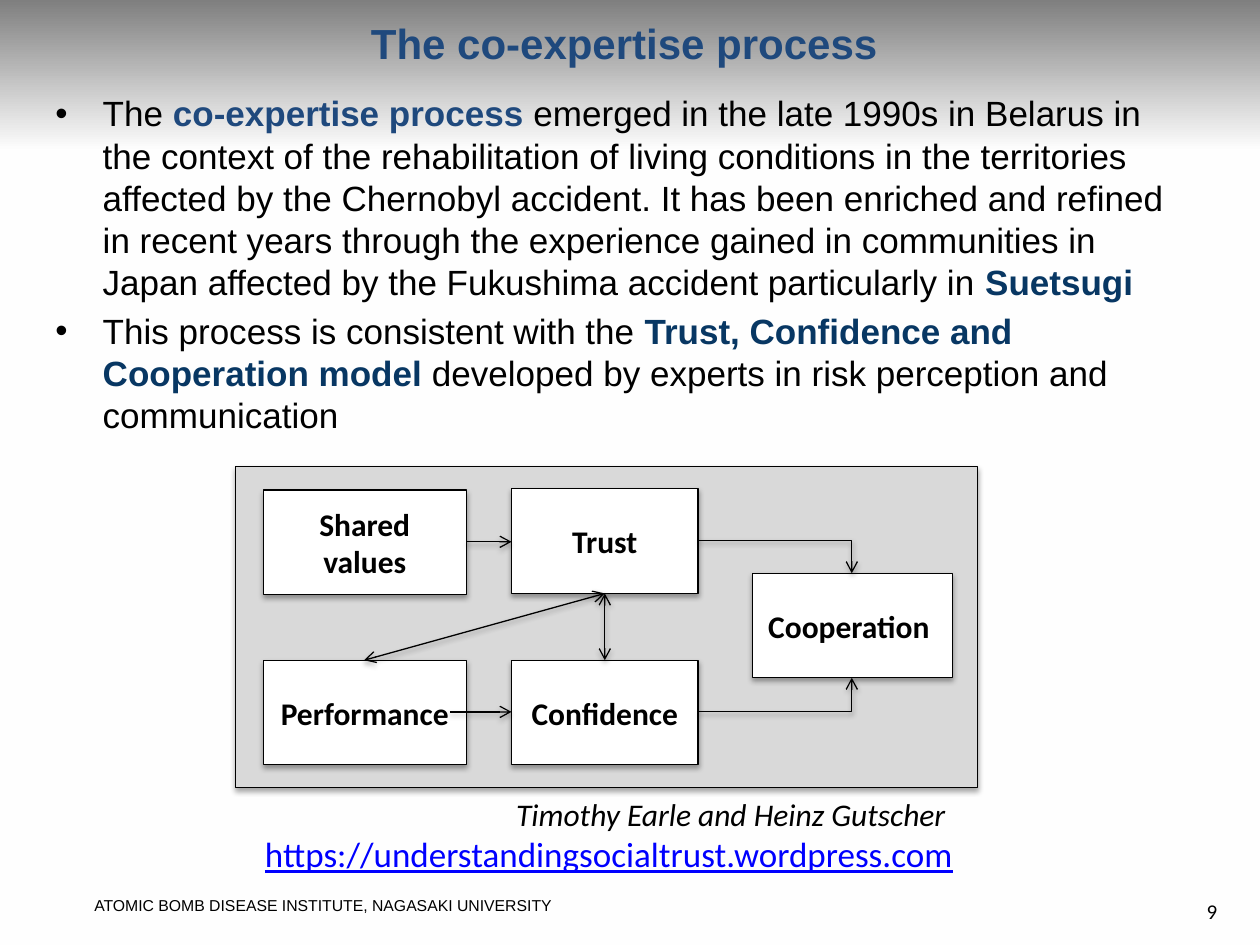
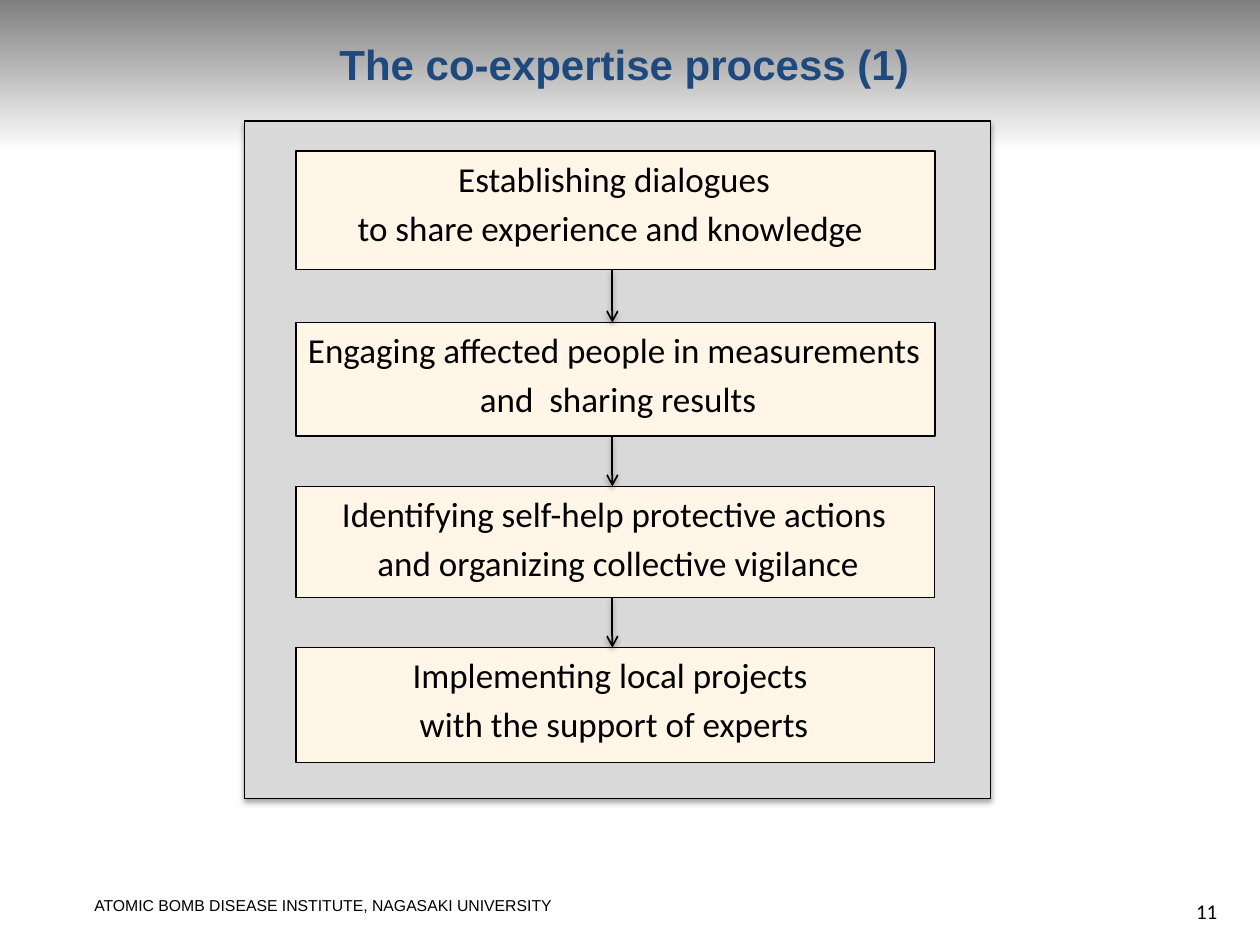
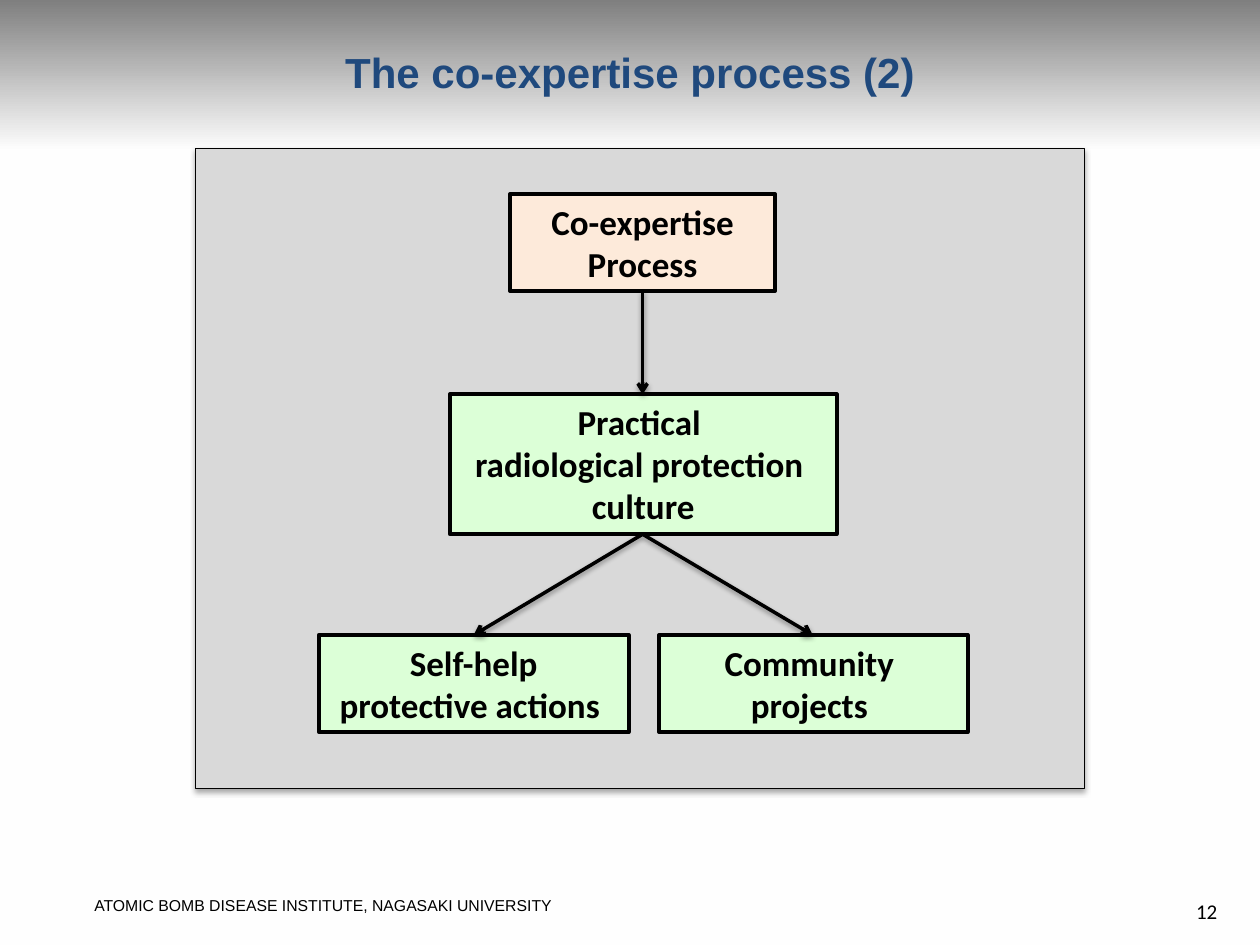
import copy
import itertools
from dataclasses import dataclass
from typing import Any

import pptx
import pptx.dml.color
import pptx.enum.shapes
import pptx.enum.text
import pptx.oxml
import pptx.oxml.ns
import pptx.util
from lxml import etree

PX = 9144  # one px is a hundredth of an inch
Pt = pptx.util.Pt
qn = pptx.oxml.ns.qn
Align = pptx.enum.text.PP_ALIGN
Anchor = pptx.enum.text.MSO_ANCHOR
Link = pptx.enum.shapes.MSO_CONNECTOR

BLACK, WHITE, GREY = "000000", "FFFFFF", "D9D9D9"
BLUE, NAVY, LINK = "1F497D", "083763", "0000FF"
CREAM, PEACH, GREEN = "FFF6E7", "FDEADA", "DCFFD7"
FADE = ((0, "7F7F7F"), (0.16, "FEFEFE"), (0.99, WHITE))
FOOTER = "ATOMIC BOMB DISEASE INSTITUTE, NAGASAKI UNIVERSITY"

TITLE = {"name": "Arial", "size": Pt(24), "bold": True}
BODY = {"name": "Arial", "size": Pt(20), "bold": False}
STRONG = {**BODY, "bold": True}
FOOT = {"name": "Arial", "size": Pt(9)}
PAGE = {"name": "Calibri", "size": Pt(12)}
NODE = {"name": "Calibri", "size": Pt(18), "bold": True}
STEP = {"name": "Calibri", "size": Pt(20)}
TREE = {**STEP, "bold": True}
CREDIT = {"name": "Calibri", "size": Pt(18), "italic": True}
SITE = {**STEP, "underline": True}

Spot = tuple[int, int]


@dataclass(frozen=True)
class Box:
    x: int
    y: int
    w: int
    h: int
    lines: tuple[str, ...] = ()
    fill: str = WHITE
    edge: float = 0.75

    @property
    def area(self) -> tuple[int, ...]:
        return tuple(n * PX for n in (self.x, self.y, self.w, self.h))

    @property
    def top(self) -> Spot:
        return self.x + self.w // 2, self.y

    @property
    def base(self) -> Spot:
        return self.x + self.w // 2, self.y + self.h

    @property
    def left(self) -> Spot:
        return self.x, self.y + self.h // 2

    @property
    def right(self) -> Spot:
        return self.x + self.w, self.y + self.h // 2


def tint(code: str) -> pptx.dml.color.RGBColor:
    return pptx.dml.color.RGBColor.from_string(code)


def apply(item: Any, look: dict[str, Any]) -> None:
    for key, value in look.items():
        setattr(item, key, value)


def write(para: Any, text: str, look: dict[str, Any], ink: str = BLACK) -> None:
    run = para.add_run()
    run.text = text
    apply(run.font, look)
    run.font.color.rgb = tint(ink)


def fill_text(frame: Any, lines: tuple[str, ...], look: dict[str, Any],
              align: Any, gap: int = 0) -> None:
    """Write one paragraph per line, with the gap in points between them."""
    for i, line in enumerate(lines):
        para = frame.add_paragraph() if i else frame.paragraphs[0]
        para.alignment = align
        para.space_before = Pt(gap if i else 0)
        write(para, line, look)


def add_shade(props: Any, alpha: int, drop: float) -> None:
    """Give shape properties a soft shadow straight below."""
    effects = props.find(qn("a:effectLst"))
    if effects is None:
        effects = etree.SubElement(props, qn("a:effectLst"))
    shade = etree.SubElement(effects, qn("a:outerShdw"), blurRad=str(Pt(3.1)),
                             dist=str(Pt(drop)), dir="5400000", rotWithShape="0")
    color = etree.SubElement(shade, qn("a:srgbClr"), val=BLACK)
    etree.SubElement(color, qn("a:alpha"), val=str(alpha * 1000))


def draw_box(slide: Any, box: Box, look: dict[str, Any] = NODE, shade: bool = False,
             gap: int = 0, frame: dict[str, Any] | None = None) -> None:
    shape = slide.shapes.add_shape(pptx.enum.shapes.MSO_SHAPE.RECTANGLE, *box.area)
    shape.fill.solid()
    shape.fill.fore_color.rgb = tint(box.fill)
    shape.line.color.rgb = tint(BLACK)
    shape.line.width = Pt(box.edge)
    shape.shadow.inherit = False
    if shade:
        add_shade(shape._element.spPr, 35, 1.8)
    apply(shape.text_frame, {"word_wrap": True, **(frame or {})})
    fill_text(shape.text_frame, box.lines, look, Align.CENTER, gap)


def draw_panel(slide: Any, *area: int) -> None:
    draw_box(slide, Box(*area, fill=GREY), shade=True)


def draw_link(slide: Any, start: Spot, end: Spot, width: float = 0.75,
              both: bool = False, bent: bool = False) -> None:
    kind = Link.ELBOW if bent else Link.STRAIGHT
    line = slide.shapes.add_connector(kind, *(n * PX for n in start + end))
    line.line.color.rgb = tint(BLACK)
    line.line.width = Pt(width)
    props = line._element.spPr
    if bent:
        props.find(qn("a:prstGeom")).set("prst", "bentConnector2")
    for tip in ("headEnd", "tailEnd") if both else ("tailEnd",):
        etree.SubElement(props.find(qn("a:ln")), qn(f"a:{tip}"), type="arrow")
    add_shade(props, 38, 1.6)


def draw_note(slide: Any, box: Box, look: dict[str, Any], align: Any,
              frame: dict[str, Any]) -> Any:
    note = slide.shapes.add_textbox(*box.area)
    apply(note.text_frame, frame)
    fill_text(note.text_frame, box.lines, look, align)
    return note


def place(holder: Any, box: Box) -> None:
    holder.left, holder.top, holder.width, holder.height = box.area
    holder.text_frame.auto_size = pptx.enum.text.MSO_AUTO_SIZE.NONE


def dress(master: Any) -> None:
    """Give the master the fading band behind every slide."""
    fill = master.background.fill
    fill.gradient()
    stops = master.element.find(".//" + qn("p:bg")).find(".//" + qn("a:gsLst"))
    stops.append(copy.deepcopy(stops[-1]))
    fill.gradient_angle = 270
    for stop, (spot, code) in zip(fill.gradient_stops, FADE):
        stop.position = spot
        stop.color.rgb = tint(code)


def add_footer(deck: Any, slide: Any) -> None:
    """Draw the footer, then move it to the master for all slides."""
    note = draw_note(slide, Box(65, 706, 386, 25, (FOOTER,)), FOOT, Align.LEFT,
                     {"word_wrap": False})
    deck.slide_master.element.cSld.spTree.append(note._element)


def add_slide(deck: Any, layout: int, title: str, y: int, h: int, page: int) -> Any:
    slide = deck.slides.add_slide(deck.slide_layouts[layout])
    head = slide.shapes.title
    place(head, Box(0, y, 1000, h))
    head.text_frame.vertical_anchor = Anchor.MIDDLE
    para = head.text_frame.paragraphs[0]
    para.alignment = Align.CENTER
    write(para, title, TITLE, BLUE)
    draw_note(slide, Box(768, 688, 208, 50, (str(page),)), PAGE, Align.RIGHT,
              {"word_wrap": True, "vertical_anchor": Anchor.BOTTOM})
    return slide


POINTS = (
    (("The ", BLACK), ("co-expertise process", BLUE),
     (" emerged in the late 1990s in Belarus in the context of the rehabilitation of "
      "living conditions in the territories affected by the Chernobyl accident. It has "
      "been enriched and refined in recent years through the experience gained in "
      "communities in Japan affected by the Fukushima accident particularly in ", BLACK),
     ("Suetsugi", NAVY)),
    (("This process is consistent with the ", BLACK),
     ("Trust, Confidence and Cooperation model", NAVY),
     (" developed by experts in risk perception and communication", BLACK)),
)


def show_model(deck: Any) -> None:
    slide = add_slide(deck, 1, "The co-expertise process ", -13, 94, 9)
    add_footer(deck, slide)
    body = slide.placeholders[1]
    place(body, Box(34, 68, 924, 276))
    for i, parts in enumerate(POINTS):
        para = body.text_frame.add_paragraph() if i else body.text_frame.paragraphs[0]
        if not i:
            para.space_before = Pt(0)
        for text, ink in parts:
            write(para, text, BODY if ink == BLACK else STRONG, ink)

    draw_panel(slide, 187, 370, 589, 255)
    shared = Box(209, 389, 161, 83, ("Shared", "values"))
    trust = Box(406, 388, 148, 83, ("Trust",))
    perform = Box(209, 524, 161, 83, ("Performance",))
    confide = Box(406, 524, 148, 83, ("Confidence",))
    coop = Box(597, 455, 159, 83, ("Cooperation ",))
    for box in (perform, confide, coop, shared, trust):
        draw_box(slide, box, shade=True, frame={"vertical_anchor": Anchor.MIDDLE})

    draw_link(slide, (shared.right[0], 430), (trust.x, 430))
    draw_link(slide, (357, confide.left[1]), confide.left)
    draw_link(slide, trust.right, coop.top, bent=True)
    draw_link(slide, confide.right, coop.base, bent=True)
    for box in (perform, confide):
        draw_link(slide, trust.base, box.top, both=True)

    note = draw_note(slide, Box(187, 626, 579, 108, ("Timothy Earle and Heinz Gutscher ",)),
                     CREDIT, Align.RIGHT, {"word_wrap": True})
    para = note.text_frame.add_paragraph()
    para.alignment = Align.RIGHT
    write(para, "https://understandingsocialtrust.wordpress.com", SITE, LINK)


def show_steps(deck: Any) -> None:
    slide = add_slide(deck, 5, "The co-expertise process (1) ", 9, 83, 11)
    draw_panel(slide, 194, 96, 592, 538)
    frame = {"word_wrap": False, "vertical_anchor": Anchor.TOP,
             "margin_left": 0, "margin_right": 2 * PX}
    steps = [Box(235, y, 507, h, lines, CREAM, edge) for y, h, edge, lines in (
        (120, 94, 1, ("Establishing dialogues", "to share experience and knowledge ")),
        (256, 90, 1, ("Engaging affected people in measurements", " and  sharing results")),
        (386, 88, 0.75, ("Identifying self-help protective actions",
                         " and organizing collective vigilance")),
        (514, 91, 0.75, ("Implementing local projects ", "with the support of experts")),
    )]
    for box in steps:
        draw_box(slide, box, STEP, gap=4, frame=frame)
    for upper, lower in itertools.pairwise(steps):
        draw_link(slide, (486, upper.base[1]), (486, lower.y), 1)


def show_tree(deck: Any) -> None:
    slide = add_slide(deck, 5, "The co-expertise process (2)", 10, 94, 12)
    draw_panel(slide, 155, 118, 706, 508)
    root = Box(405, 154, 210, 77, ("Co-expertise", "Process"), PEACH, 2.25)
    trunk = Box(357, 313, 307, 111,
                ("Practical ", "radiological protection ", "culture"), GREEN, 2.25)
    own = Box(253, 504, 246, 77, ("Self-help", "protective actions "), GREEN, 2.25)
    town = Box(523, 504, 245, 77, ("Community ", "projects "), GREEN, 2.25)
    for box in (root, trunk, own, town):
        draw_box(slide, box, TREE, frame={"vertical_anchor": Anchor.TOP})
    for start, end in ((root, trunk), (trunk, own), (trunk, town)):
        draw_link(slide, start.base, end.top, 2)


def main() -> None:
    deck = pptx.Presentation()
    deck.slide_width, deck.slide_height = 1000 * PX, 750 * PX
    dress(deck.slide_master)
    show_model(deck)
    show_steps(deck)
    show_tree(deck)
    deck.save("out.pptx")


if __name__ == "__main__":
    main()
